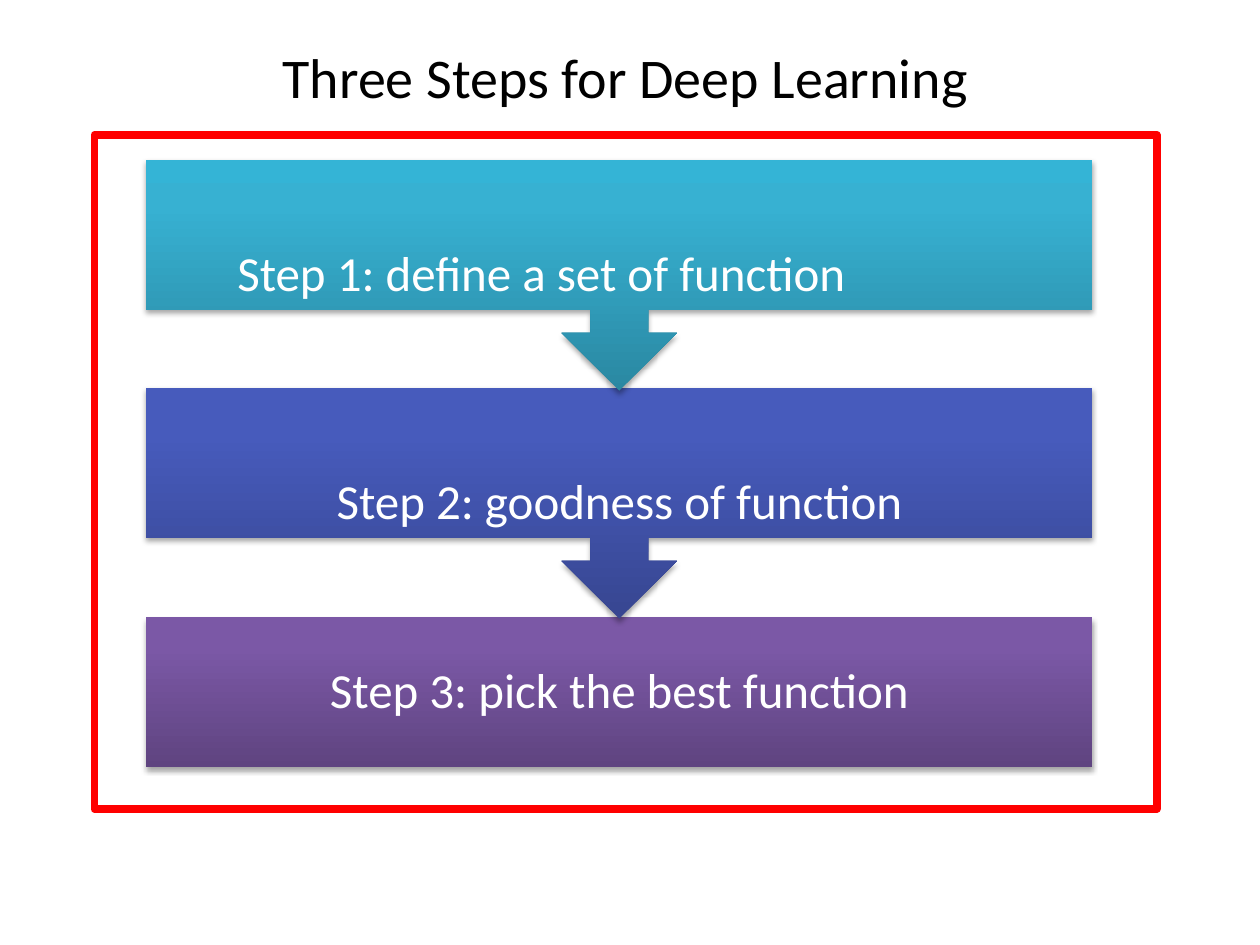
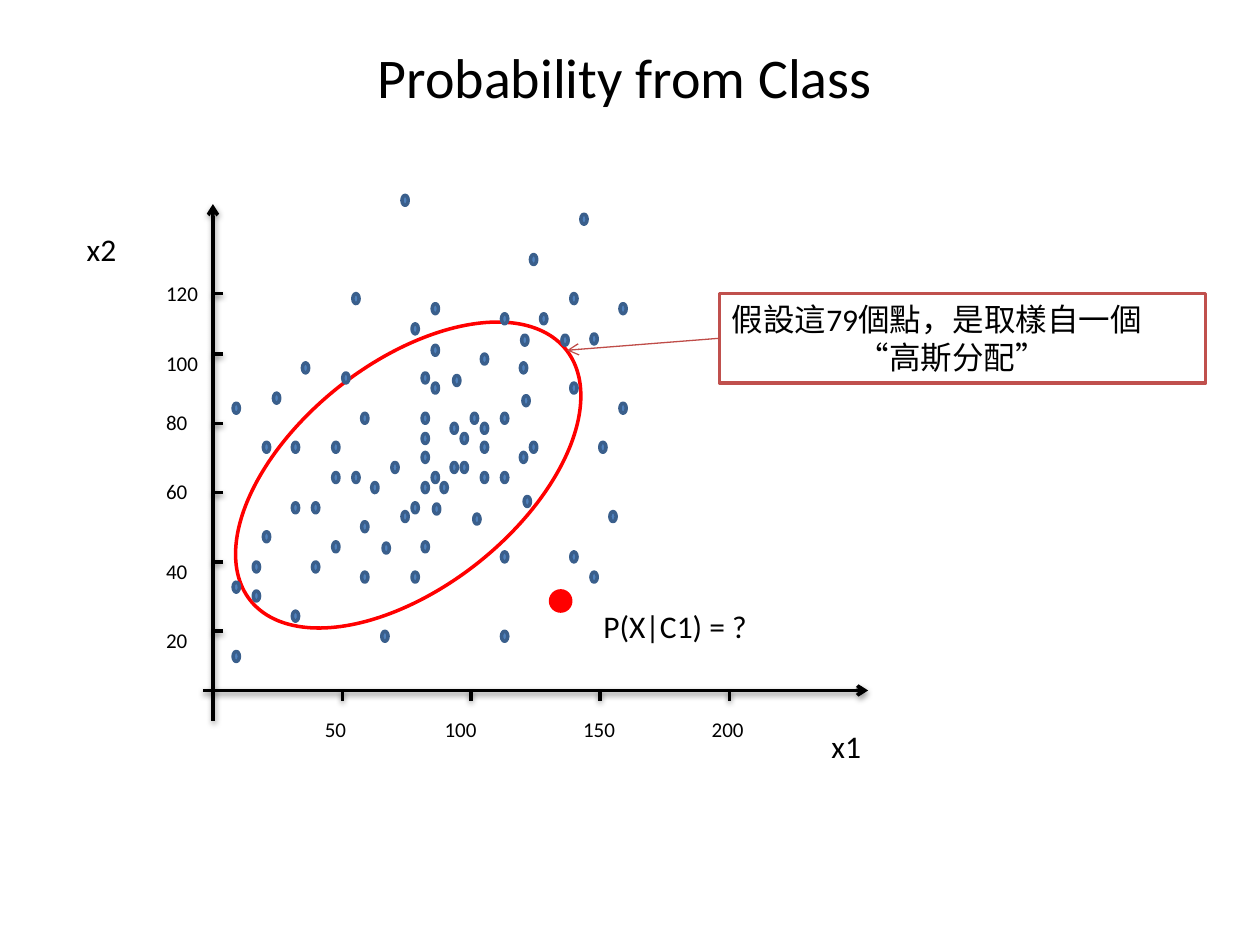
import pptx
import pptx.util
import pptx.dml.color
import pptx.enum.shapes
import pptx.enum.text
import copy
from lxml import etree

PX = 9144
FONT = "Calibri"
NS = "http://schemas.openxmlformats.org/drawingml/2006/main"
COLORS = {name: pptx.dml.color.RGBColor.from_string(value) for name, value in {
    "black": "000000", "white": "FFFFFF", "red": "FF0000",
    "dot": "4F81BD", "dot_edge": "3A5F8C",
    "note_edge": "C0504D", "pointer": "BF4C48",
}.items()}
SHAPE = pptx.enum.shapes.MSO_SHAPE
ANCHOR = pptx.enum.text.MSO_ANCHOR
CENTER = pptx.enum.text.PP_ALIGN.CENTER
Pt = pptx.util.Pt


def add_shadow(sp, alpha, dist):
    spPr = sp._element.spPr
    effects = etree.SubElement(spPr, f"{{{NS}}}effectLst")
    if alpha:
        shadow = etree.SubElement(effects, f"{{{NS}}}outerShdw", blurRad="40000",
                                  dist=str(dist), dir="5400000", rotWithShape="0")
        color = etree.SubElement(shadow, f"{{{NS}}}srgbClr", val="000000")
        etree.SubElement(color, f"{{{NS}}}alpha", val=str(alpha * 1000))


def add_line(slide, x1, y1, x2, y2, color="black", width=2, arrow=False, alpha=38):
    cx = slide.shapes.add_connector(pptx.enum.shapes.MSO_CONNECTOR.STRAIGHT,
                                    x1 * PX, y1 * PX, x2 * PX, y2 * PX)
    cx.line.color.rgb = COLORS[color]
    cx.line.width = Pt(width)
    if arrow:
        etree.SubElement(cx._element.spPr.ln, f"{{{NS}}}tailEnd", type="arrow")
    add_shadow(cx, alpha, 20000)
    return cx


prs = pptx.Presentation()
prs.slide_width = 1000 * PX
prs.slide_height = 750 * PX

slides = []
for title, left, width in [("Three Steps for Deep Learning", 75, 843),
                           ("Probability from Class", 51, 890)]:
    slide = prs.slides.add_slide(prs.slide_layouts[5])
    sp = slide.shapes.title
    sp.left, sp.top, sp.width, sp.height = left * PX, 29 * PX, width * PX, 64 * PX
    tf = sp.text_frame
    tf.text = title
    tf.vertical_anchor = ANCHOR.TOP
    tf.auto_size = pptx.enum.text.MSO_AUTO_SIZE.NONE
    p = tf.paragraphs[0]
    p.alignment = CENTER
    p.font.size = Pt(32)
    p.font.name = FONT
    p.font.color.rgb = COLORS["black"]
    slides.append(slide)
steps_slide, plot_slide = slides

CALLOUT = SHAPE.DOWN_ARROW_CALLOUT
steps = [
    ("Step 3: pick the best function", SHAPE.RECTANGLE, 490, 119, (22, 22, 22),
     ("5F4480", "7B58A6", "7C57A8")),
    ("Step 2: goodness of function", CALLOUT, 308, 183, (64, 0, 22),
     ("374691", "475BBC", "455ABF")),
    ("Step 1: define a set of function", CALLOUT, 127, 183, (64, 0, 146),
     ("2A88A2", "37B1D2", "34B4D6")),
]
for text, kind, top, height, (inset_top, inset_bottom, inset_right), colors in steps:
    sp = steps_slide.shapes.add_shape(kind, 116 * PX, top * PX, 751 * PX, height * PX)
    sp.fill.gradient()
    sp.fill.gradient_angle = 90
    gs_list = sp._element.spPr.find(f".//{{{NS}}}gsLst")
    gs_list.append(copy.deepcopy(gs_list[1]))
    for stop, position, color in zip(sp.fill.gradient_stops, (0, 0.8, 1), colors):
        stop.position = position
        stop.color.rgb = pptx.dml.color.RGBColor.from_string(color)
    sp.line.fill.background()
    add_shadow(sp, 35, 23000)
    tf = sp.text_frame
    tf.word_wrap = True
    tf.vertical_anchor = ANCHOR.MIDDLE
    tf.margin_left, tf.margin_right = 22 * PX, inset_right * PX
    tf.margin_top, tf.margin_bottom = inset_top * PX, inset_bottom * PX
    p = tf.paragraphs[0]
    p.text = text
    p.alignment = CENTER
    p.line_spacing = 0.9
    p.font.size = Pt(28)
    p.font.name = FONT
    p.font.color.rgb = COLORS["white"]

frame = steps_slide.shapes.add_shape(SHAPE.RECTANGLE, 75 * PX, 107 * PX, 843 * PX, 535 * PX)
frame.fill.background()
frame.line.color.rgb = COLORS["red"]
frame.line.width = Pt(4.5)
frame.shadow.inherit = False

dots = [
    (280, 375), (201, 469), (209, 422), (248, 446), (232, 485), (264, 430), (201, 446),
    (311, 367), (327, 454), (335, 328), (287, 414), (304, 431), (343, 375), (335, 296),
    (374, 328), (319, 406), (398, 438), (413, 288), (382, 281), (453, 304), (398, 249),
    (287, 328), (344, 400), (264, 375), (453, 233), (415, 314), (469, 265), (413, 359),
    (360, 298), (327, 257), (492, 241), (414, 266), (429, 249), (446, 266), (264, 351),
    (272, 296), (343, 274), (366, 344), (287, 454), (335, 430), (416, 394), (382, 375),
    (376, 408), (476, 351), (248, 399), (217, 312), (209, 351), (484, 406), (461, 170),
    (232, 399), (185, 320), (185, 517), (335, 344), (421, 351), (327, 399), (421, 202),
    (319, 155), (343, 241), (185, 462), (303, 501), (492, 320), (232, 351), (453, 438),
    (469, 454), (240, 288), (295, 383), (398, 501), (343, 304), (350, 383), (335, 383),
    (398, 375), (335, 359), (358, 367), (366, 367), (398, 328), (382, 336), (280, 233),
    (382, 351), (358, 336),
]
ellipses = [(164, 288, 320, 178, None, "red", 321.6)]
ellipses += [(x, y, 5, 8, "dot", "dot_edge", 0) for x, y in dots]
ellipses += [(437, 469, 16, 16, "red", "red", 0)]
for x, y, width, height, fill, edge, rotation in ellipses:
    sp = plot_slide.shapes.add_shape(SHAPE.OVAL, x * PX, y * PX, width * PX, height * PX)
    if fill:
        sp.fill.solid()
        sp.fill.fore_color.rgb = COLORS[fill]
    else:
        sp.fill.background()
    sp.line.color.rgb = COLORS[edge]
    sp.line.width = Pt(2)
    sp.rotation = rotation
    sp.shadow.inherit = False

add_line(plot_slide, 161, 548, 689, 548, arrow=True)
add_line(plot_slide, 169, 572, 169, 162, arrow=True)

labels = [("x1", 650, 572, 55, 40, 18), ("x2", 59, 178, 47, 40, 18),
          ("P(X|C1) = ?", 469, 477, 181, 40, 18)]
for value, tick, left in [(50, 272, 248), (100, 374, 343), (150, 476, 453), (200, 579, 555)]:
    add_line(plot_slide, tick, 548, tick, 556)
    labels.append((str(value), left, 564, 47, 30, 12))
for value, tick, top in [(20, 501, 493), (40, 446, 438), (60, 391, 375),
                         (80, 336, 320), (100, 281, 273), (120, 233, 218)]:
    add_line(plot_slide, 169, tick, 177, tick)
    labels.append((str(value), 122, top, 47, 30, 12))

for text, left, top, width, height, size in labels:
    sp = plot_slide.shapes.add_textbox(left * PX, top * PX, width * PX, height * PX)
    tf = sp.text_frame
    tf.word_wrap = True
    p = tf.paragraphs[0]
    p.text = text
    p.font.size = Pt(size)
    p.font.name = FONT
    p.font.color.rgb = COLORS["black"]

note = plot_slide.shapes.add_shape(SHAPE.RECTANGLE, 571 * PX, 233 * PX, 386 * PX, 71 * PX)
note.fill.solid()
note.fill.fore_color.rgb = COLORS["white"]
note.line.color.rgb = COLORS["note_edge"]
note.line.width = Pt(2)
note.shadow.inherit = False
tf = note.text_frame
tf.word_wrap = True
tf.vertical_anchor = ANCHOR.TOP
tf.text = "假設這79個點，是取樣自一個\n“高斯分配”"
for p, indent in zip(tf.paragraphs, (0, 100)):
    p.alignment = pptx.enum.text.PP_ALIGN.LEFT
    p.font.size = Pt(18)
    p.font.name = FONT
    p.font.color.rgb = COLORS["black"]
    p._p.get_or_add_pPr().set("marL", str(indent * PX))

pointer = add_line(plot_slide, 571, 269, 450, 278, "pointer", 0.75, arrow=True, alpha=0)
pointer.begin_connect(note, 1)

prs.save("out.pptx")
